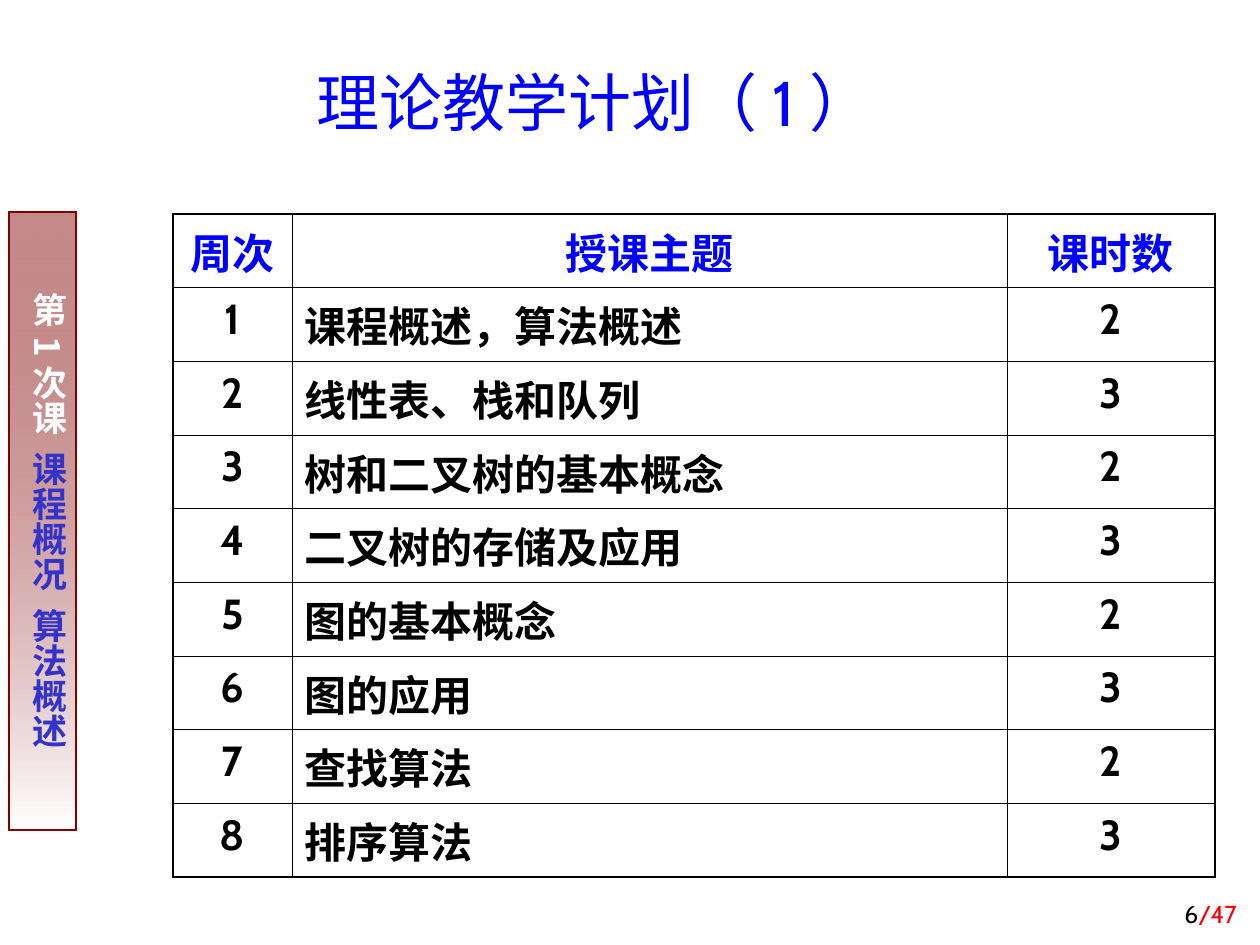
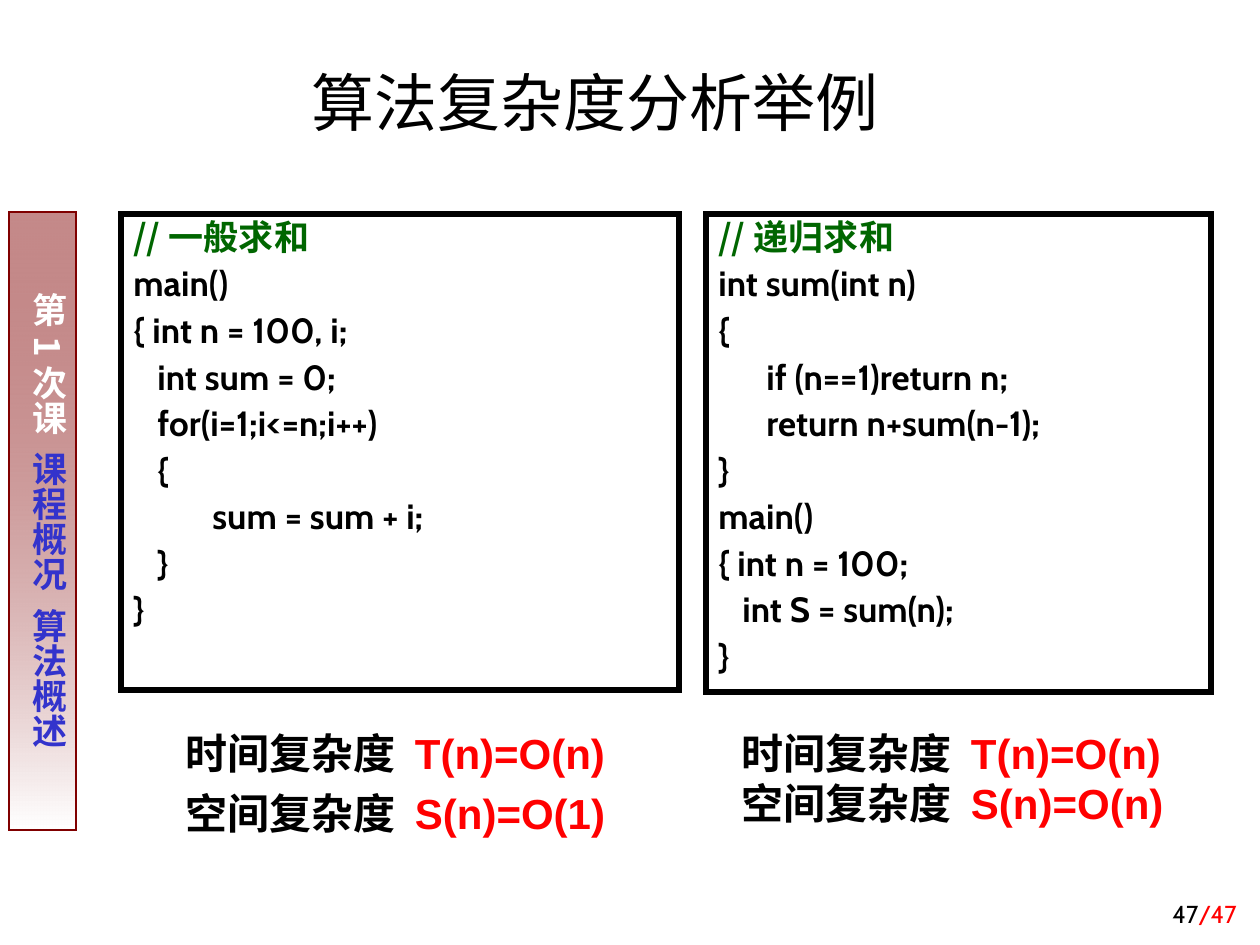
import pptx
import pptx.util
import pptx.dml.color
import pptx.enum.shapes
import pptx.enum.text
import pptx.oxml.ns
import lxml.etree

RGB = pptx.dml.color.RGBColor
ALIGN = pptx.enum.text.PP_ALIGN
ANCHOR = pptx.enum.text.MSO_ANCHOR
RECT = pptx.enum.shapes.MSO_SHAPE.RECTANGLE
qn = pptx.oxml.ns.qn

# Shared look
BLACK = RGB(0, 0, 0)
WHITE = RGB(255, 255, 255)
BLUE = RGB(0, 0, 255)
INDIGO = RGB(0x33, 0x33, 0xCC)
RED = RGB(255, 0, 0)
GREEN = RGB(0, 0x66, 0)
MAROON = RGB(0x80, 0, 0)
LATIN = "Cabin"
HAN = "Noto Sans CJK SC"
SANS = "Arial"
THIN, THICK = 0.45, 1.08
STEP = 24  # one code indent

PLAN = [
    ("周次", "授课主题", "课时数"),
    ("1", "课程概述，算法概述", "2"),
    ("2", "线性表、栈和队列", "3"),
    ("3", "树和二叉树的基本概念", "2"),
    ("4", "二叉树的存储及应用", "3"),
    ("5", "图的基本概念", "2"),
    ("6", "图的应用", "3"),
    ("7", "查找算法", "2"),
    ("8", "排序算法", "3"),
]

# Code lines: indent in px, text
LOOP = [
    (0, "//一般求和"),
    (0, "main()"),
    (0, "{ int n = 100, i;"),
    (STEP, "int sum = 0;"),
    (STEP, "for(i=1;i<=n;i++)"),
    (STEP, "{"),
    (79, "sum = sum + i;"),
    (STEP, "}"),
    (0, "}"),
]
RECUR = [
    (0, "//递归求和"),
    (0, "int sum(int n)"),
    (0, "{"),
    (2 * STEP, "if (n==1)return n;"),
    (2 * STEP, "return n+sum(n-1);"),
    (0, "}"),
    (0, "main()"),
    (0, "{ int n = 100;"),
    (STEP, "int S = sum(n);"),
    (0, "}"),
]


def px(n):
    return pptx.util.Emu(round(n * 914400 / 126))


def style(para, size, face, bold=False, color=None, align=ALIGN.LEFT):
    font = para.font
    font.size = pptx.util.Pt(size)
    font.name = face
    font.bold = bold
    if color is not None:
        font.color.rgb = color
    para.alignment = align


def indent(para, n):
    para._p.get_or_add_pPr().set("marL", str(px(n)))


def add_runs(para, *parts):
    for text, color in parts:
        run = para.add_run()
        run.text = text
        run.font.color.rgb = color


def next_para(frame, i):
    return frame.add_paragraph() if i else frame.paragraphs[0]


def add_text(slide, x, y, w, h, anchor=ANCHOR.TOP):
    frame = slide.shapes.add_textbox(px(x), px(y), px(w), px(h)).text_frame
    frame.word_wrap = True
    frame.vertical_anchor = anchor
    return frame


def add_rect(slide, x, y, w, h, color, width):
    box = slide.shapes.add_shape(RECT, px(x), px(y), px(w), px(h))
    box.shadow.inherit = False
    box.line.color.rgb = color
    box.line.width = pptx.util.Pt(width)
    # Square corners
    line = box.element.spPr.find(qn("a:ln"))
    lxml.etree.SubElement(line, qn("a:miter"), lim="800000")
    box.text_frame.word_wrap = True
    box.text_frame.vertical_anchor = ANCHOR.TOP
    return box


def add_band(slide):
    band = add_rect(slide, 9, 212, 67, 618, MAROON, 0.75)
    # Fade from translucent maroon down to white
    band.fill.gradient()
    band.fill.gradient_angle = 270
    for stop, color, pos in zip(band.fill.gradient_stops, (MAROON, WHITE), (0, 1)):
        stop.color.rgb = color
        stop.position = pos
    tint = band.element.spPr.find(".//" + qn("a:srgbClr"))
    lxml.etree.SubElement(tint, qn("a:alpha"), val="46000")
    # Upright label
    frame = band.text_frame
    frame.margin_left = frame.margin_right = px(6)
    frame.margin_top = frame.margin_bottom = px(13)
    frame._txBody.bodyPr.set("vert", "eaVert")
    para = frame.paragraphs[0]
    style(para, 20, HAN, True)
    indent(para, 68)
    add_runs(para, ("第1次课  ", WHITE), ("课程概况  算法概述", INDIGO))


def add_title(slide, text, x, y, w, h, color):
    para = add_text(slide, x, y, w, h, ANCHOR.BOTTOM).paragraphs[0]
    para.text = text
    style(para, 36, LATIN, False, color, ALIGN.CENTER)


def add_page(slide, num):
    para = add_text(slide, 987, 872, 262, 63, ANCHOR.BOTTOM).paragraphs[0]
    style(para, 14, LATIN, align=ALIGN.RIGHT)
    add_runs(para, (num, BLACK), ("/47", RED))


def set_edges(cell, edges):
    props = cell._tc.get_or_add_tcPr()
    for i, (side, width) in enumerate(edges.items()):
        line = lxml.etree.Element(qn("a:ln" + side), w=str(pptx.util.Pt(width)))
        fill = lxml.etree.SubElement(line, qn("a:solidFill"))
        lxml.etree.SubElement(fill, qn("a:srgbClr"), val=str(BLACK))
        props.insert(i, line)


def add_plan(slide, rows, x, y, widths, h):
    table = slide.shapes.add_table(len(rows), len(widths), px(x), px(y),
                                   px(sum(widths)), px(h)).table
    table.horz_banding = False
    for col, width in zip(table.columns, widths):
        col.width = px(width)
    end, edge = len(rows) - 1, len(widths) - 1
    for r, row in enumerate(rows):
        for c, text in enumerate(row):
            cell = table.cell(r, c)
            cell.fill.background()
            para = cell.text_frame.paragraphs[0]
            para.text = text
            para.space_before = pptx.util.Pt(6)
            left = r > 0 and c == 1
            style(para, 24, LATIN, True, BLACK if r else BLUE,
                  ALIGN.LEFT if left else ALIGN.CENTER)
            set_edges(cell, {
                "L": THIN if c else THICK,
                "R": THIN if c < edge else THICK,
                "T": THIN if r else THICK,
                "B": THIN if r < end else THICK,
            })


def add_code(slide, lines, x, y, w, h):
    box = add_rect(slide, x, y, w, h, BLACK, 3)
    box.fill.background()
    for i, (left, text) in enumerate(lines):
        para = next_para(box.text_frame, i)
        para.text = text
        para.line_spacing = 0.9
        para.space_before = pptx.util.Pt(5)
        style(para, 20, LATIN if i else HAN, True, BLACK if i else GREEN)
        indent(para, left)


def add_costs(slide, x, y, w, h, costs):
    frame = add_text(slide, x, y, w, h)
    for i, (label, cost, space) in enumerate(costs):
        para = next_para(frame, i)
        para.line_spacing = space
        style(para, 24, SANS, True)
        add_runs(para, (label + " ", BLACK), (cost, RED))


def add_slide(deck, num):
    slide = deck.slides.add_slide(deck.slide_layouts[6])
    add_band(slide)
    add_page(slide, num)
    return slide


def main():
    deck = pptx.Presentation()
    deck.slide_width, deck.slide_height = px(1260), px(945)

    # Teaching plan
    slide = add_slide(deck, "6")
    add_title(slide, "理论教学计划（1）", 222, 25, 745, 120, BLUE)
    add_plan(slide, PLAN, 173, 214, (119, 715, 208), 663)

    # Complexity examples
    slide = add_slide(deck, "47")
    add_title(slide, "算法复杂度分析举例", 213, 54, 764, 91, BLACK)
    add_code(slide, LOOP, 121, 214, 558, 476)
    add_code(slide, RECUR, 706, 214, 505, 478)
    add_costs(slide, 173, 711, 456, 134, [
        ("时间复杂度", "T(n)=O(n)", 1.2), ("空间复杂度", "S(n)=O(1)", 1.2)])
    add_costs(slide, 729, 711, 456, 174, [
        ("时间复杂度", "T(n)=O(n)", 1.2), ("空间复杂度", "S(n)=O(n)", 1.0)])

    deck.save("out.pptx")


if __name__ == "__main__":
    main()
